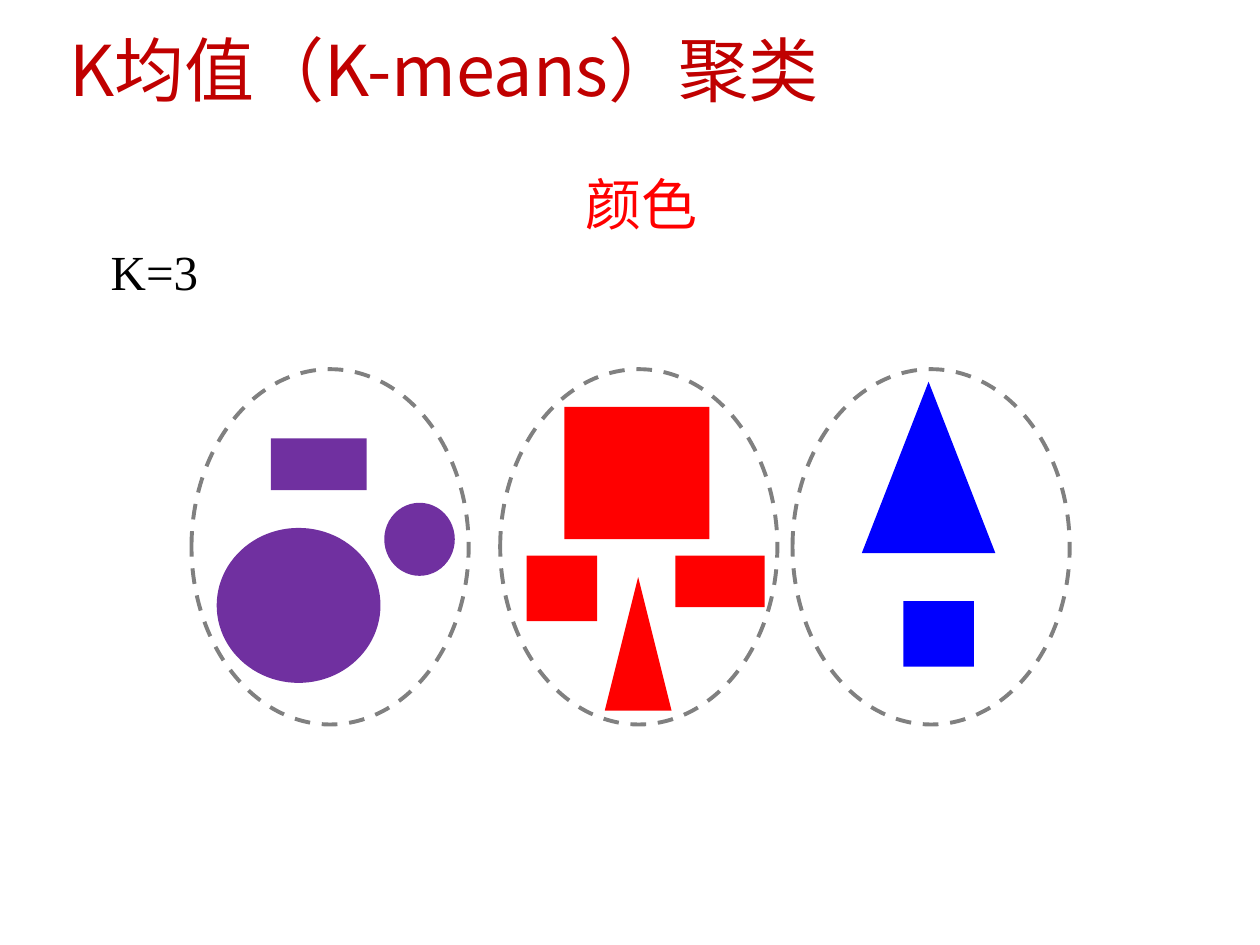
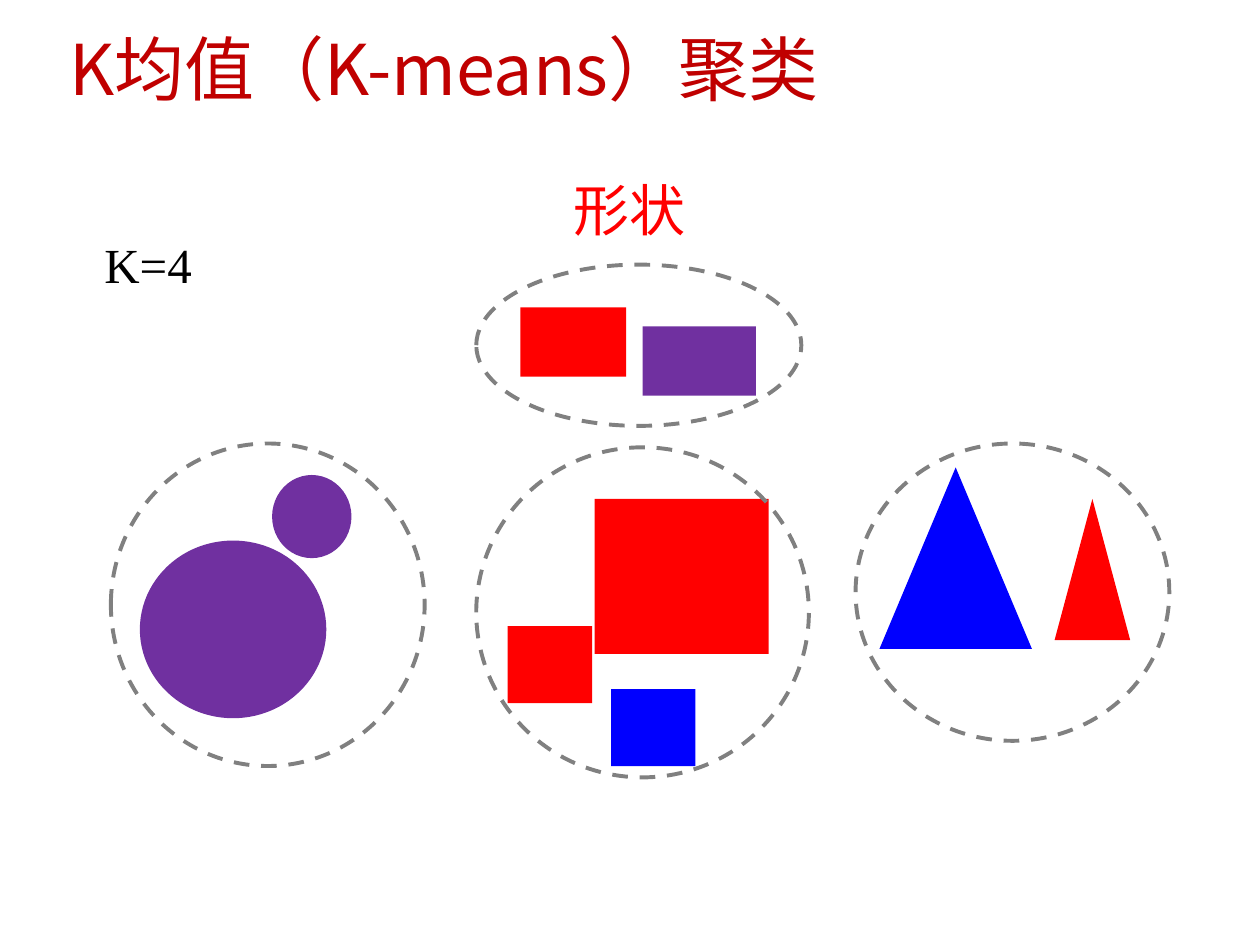
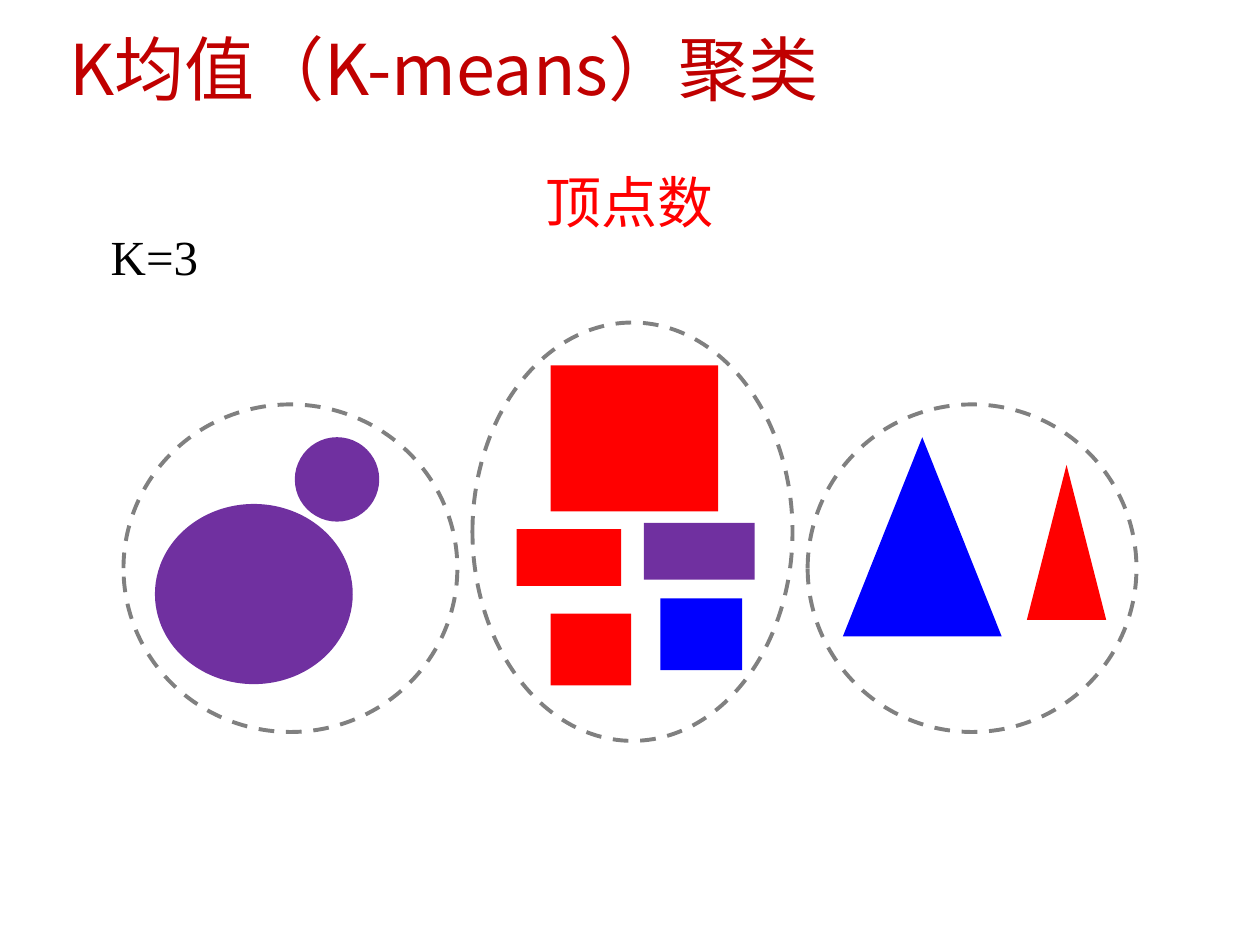
from lxml.etree import SubElement
from pptx import Presentation
from pptx.dml.color import RGBColor
from pptx.enum.dml import MSO_LINE
from pptx.enum.shapes import MSO_SHAPE
from pptx.enum.text import MSO_ANCHOR, MSO_AUTO_SIZE, PP_ALIGN
from pptx.oxml.ns import qn
from pptx.util import Emu, Pt

SCALE = 9144
RED, BLUE, PURPLE = "FF0000", "0000FF", "7030A0"
GREY, BLACK, CRIMSON = "808080", "000000", "C00000"
RECT, OVAL, CONE = MSO_SHAPE.RECTANGLE, MSO_SHAPE.OVAL, MSO_SHAPE.ISOSCELES_TRIANGLE
HEAD = "K均值（K-means）聚类"

COLOUR = [
    ((152, 293, 220, 282), [
        (RECT, PURPLE, 63, 55, 76, 41),
        (OVAL, PURPLE, 20, 126, 130, 123),
        (OVAL, PURPLE, 153, 106, 56, 58)]),
    ((397, 293, 220, 282), [
        (RECT, RED, 21, 148, 56, 52),
        (RECT, RED, 51, 30, 115, 105),
        (CONE, RED, 83, 165, 53, 106),
        (RECT, RED, 139, 148, 71, 41)]),
    ((629, 293, 220, 282), [
        (CONE, BLUE, 55, 10, 106, 136),
        (RECT, BLUE, 88, 184, 56, 52)]),
]
FORM = [
    ((88, 352, 249, 256), [
        (OVAL, PURPLE, 23, 77, 148, 141),
        (OVAL, PURPLE, 128, 25, 63, 66)]),
    ((378, 355, 264, 262), [
        (RECT, RED, 25, 142, 67, 61),
        (RECT, RED, 94, 41, 138, 123),
        (RECT, BLUE, 107, 192, 67, 61)]),
    ((679, 352, 249, 236), [
        (CONE, BLUE, 19, 19, 121, 144),
        (CONE, RED, 158, 44, 60, 112)]),
    ((378, 210, 258, 128), [
        (RECT, PURPLE, 132, 49, 90, 55),
        (RECT, RED, 35, 34, 84, 55)]),
]
VERTEX = [
    ((98, 321, 265, 260), [
        (OVAL, PURPLE, 25, 79, 157, 143),
        (OVAL, PURPLE, 136, 26, 67, 67)]),
    ((375, 256, 254, 332), [
        (RECT, RED, 62, 231, 64, 57),
        (RECT, RED, 62, 34, 133, 116),
        (RECT, PURPLE, 136, 159, 88, 45),
        (RECT, BLUE, 149, 219, 65, 57),
        (RECT, RED, 35, 164, 83, 45)]),
    ((641, 321, 261, 260), [
        (CONE, BLUE, 28, 26, 126, 158),
        (CONE, RED, 174, 48, 63, 123)]),
]


def px(num):
    """Turn px into EMU."""
    return Emu(num * SCALE)


def tint(code):
    """Turn a hex string into a colour."""
    return RGBColor.from_string(code)


def style(para, face, size, code):
    """Set the face, for Latin and East Asian text, the size and the colour."""
    font = para.font
    font.size, font.name = Pt(size), face
    font.color.rgb = tint(code)
    SubElement(para._p.pPr.find(qn("a:defRPr")), qn("a:ea"), typeface=face)


def title(slide, top):
    """Move and format the title placeholder."""
    shape = slide.shapes.title
    shape.left, shape.top, shape.width, shape.height = map(px, (45, top, 821, 72))
    frame = shape.text_frame
    frame.text = HEAD
    frame.auto_size = MSO_AUTO_SIZE.NONE
    frame.vertical_anchor = MSO_ANCHOR.MIDDLE
    frame.margin_left = frame.margin_right = px(10)
    frame.margin_top, frame.margin_bottom = px(16), px(5)
    para = frame.paragraphs[0]
    para.alignment, para.line_spacing = PP_ALIGN.LEFT, 0.9
    style(para, "Noto Sans CJK JP", 40, CRIMSON)


def label(slide, box, text, face, size, code, wrap):
    """Add a one-line text box."""
    frame = slide.shapes.add_textbox(*map(px, box)).text_frame
    frame.text = text
    frame.word_wrap = wrap
    frame.auto_size = MSO_AUTO_SIZE.SHAPE_TO_FIT_TEXT
    style(frame.paragraphs[0], face, size, code)


def cluster(slide, box, items):
    """Group solid items inside a dashed oval that fills the box."""
    left, top, wide, high = box
    group = slide.shapes.add_group_shape()
    for kind, code, x, y, w, h in items:
        item = group.shapes.add_shape(kind, *map(px, (left + x, top + y, w, h)))
        item.shadow.inherit = False
        item.fill.solid()
        item.fill.fore_color.rgb = tint(code)
        item.line.fill.background()
    ring = group.shapes.add_shape(OVAL, *map(px, (left, top, wide, high)))
    ring.shadow.inherit = False
    ring.fill.background()
    ring.line.color.rgb = tint(GREY)
    ring.line.width = Pt(2.25)
    ring.line.dash_style = MSO_LINE.DASH


def page(deck, top, count, spot, topic, place, sets):
    """Build a slide that sorts the shapes by one topic."""
    slide = deck.slides.add_slide(deck.slide_layouts[5])
    for box, items in sets:
        cluster(slide, box, items)
    label(slide, (*spot, 159, 57), count, "Times New Roman", 28, BLACK, True)
    label(slide, place, topic, "Noto Sans CJK SC", 32, RED, False)
    title(slide, top)


def main():
    """Build and save the deck."""
    deck = Presentation()
    deck.slide_width, deck.slide_height = px(1000), px(750)
    page(deck, 17, "K=3", (78, 187), "颜色", (455, 130, 110, 64), COLOUR)
    page(deck, 16, "K=4", (73, 181), "形状", (445, 134, 110, 64), FORM)
    page(deck, 16, "K=3", (78, 175), "顶点数", (423, 128, 155, 64), VERTEX)
    deck.save("out.pptx")


if __name__ == "__main__":
    main()
